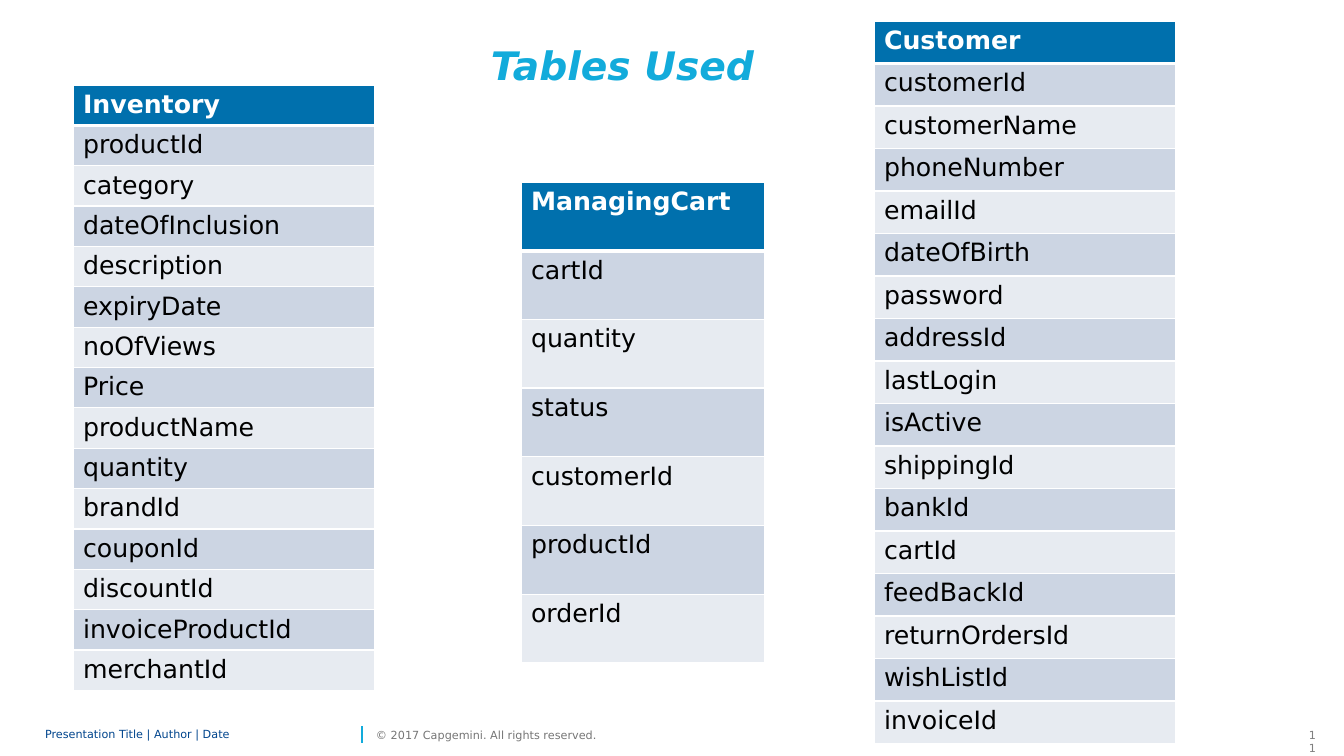
from lxml import etree
from pptx import Presentation
from pptx.dml.color import RGBColor
from pptx.enum import shapes, text
from pptx.oxml import ns
from pptx.util import Emu, Pt

FONT = "DejaVu Sans"
WHITE, BLACK, CYAN, BLUE = "FFFFFF", "000000", "12ABDB", "0070AD"
BANDS = ["CCD5E3", "E7EBF1"]

# Tables: name, (left, top, width, height), fields
TABLES = [
    ("ManagingCart", (521, 182, 244, 481),
     ["cartId", "quantity", "status", "customerId", "productId", "orderId"]),
    ("Inventory", (73, 85, 302, 590),
     ["productId", "category", "dateOfInclusion", "description",
      "expiryDate", "noOfViews", "Price", "productName", "quantity",
      "brandId", "couponId", "discountId", "invoiceProductId",
      "merchantId"]),
    ("Customer", (874, 21, 302, 723),
     ["customerId", "customerName", "phoneNumber", "emailId",
      "dateOfBirth", "password", "addressId", "lastLogin", "isActive",
      "shippingId", "bankId", "cartId", "feedBackId", "returnOrdersId",
      "wishListId", "invoiceId"]),
]
TITLE = ("Tables Used", (317, 58, 611, 48))
AUTHOR = ("Presentation Title | Author | Date", (45, 723, 311, 24))
RIGHTS = ("© 2017 Capgemini. All rights reserved.", (376, 723, 245, 24))
NUMBER = ("11", (1299, 723, 27, 24))
RULE = (362, 743, 362, 726)


def px(n):
    return Emu(round(n * 914400 / 100.8))


def color(code):
    return RGBColor.from_string(code)


def add_run(para, words, size, code, bold=False, italic=False):
    run = para.add_run()
    run.text = words
    font = run.font
    font.name, font.size, font.bold, font.italic = FONT, Pt(size), bold, italic
    font.color.rgb = color(code)


def add_text(item, size, code, inset=True, wrap=True, **style):
    words, box = item
    frame = slide.shapes.add_textbox(*map(px, box)).text_frame
    frame.word_wrap = wrap
    if not inset:
        frame.margin_left = frame.margin_right = 0
        frame.margin_top = frame.margin_bottom = 0
    para = frame.paragraphs[0]
    add_run(para, words, size, code, **style)
    return frame, para


def set_edges(cell, top, bottom):
    props = cell._tc.get_or_add_tcPr()
    edges = [("lnL", 1), ("lnR", 1), ("lnT", top), ("lnB", bottom)]
    for i, (tag, width) in enumerate(edges):
        line = etree.Element(ns.qn("a:" + tag), w=str(Pt(width)))
        fill = etree.SubElement(line, ns.qn("a:solidFill"))
        etree.SubElement(fill, ns.qn("a:srgbClr"), val=WHITE)
        props.insert(i, line)


def add_table(name, box, fields):
    rows = [name] + fields
    grid = slide.shapes.add_table(len(rows), 1, *map(px, box)).table
    grid.horz_banding = False
    for i, words in enumerate(rows):
        head = i == 0
        grid.rows[i].height = px(box[3] / len(rows))
        cell = grid.cell(i, 0)
        cell.fill.solid()
        cell.fill.fore_color.rgb = color(BLUE if head else BANDS[(i - 1) % 2])
        set_edges(cell, 3 if i == 1 else 1, 3 if head else 1)
        add_run(cell.text_frame.paragraphs[0], words, 18,
                WHITE if head else BLACK, bold=head)


deck = Presentation()
deck.slide_width, deck.slide_height = px(1344), px(756)
slide = deck.slides.add_slide(deck.slide_layouts[6])

# Footer
frame, para = add_text(NUMBER, 8, "808080")
para.alignment = text.PP_ALIGN.RIGHT
rule = slide.shapes.add_connector(shapes.MSO_CONNECTOR.STRAIGHT, *map(px, RULE))
rule.line.color.rgb = color(CYAN)
rule.line.width = Pt(1)
etree.SubElement(rule._element.spPr, ns.qn("a:effectLst"))
frame, para = add_text(AUTHOR, 8, "00458D", inset=False)
frame.vertical_anchor = text.MSO_ANCHOR.MIDDLE
para.line_spacing = 0.85
frame, para = add_text(RIGHTS, 8, "767676", inset=False, wrap=False)
frame.vertical_anchor = text.MSO_ANCHOR.MIDDLE

# Title
frame, para = add_text(TITLE, 28, CYAN, inset=False, bold=True, italic=True)
para.alignment = text.PP_ALIGN.CENTER
para.line_spacing = Pt(22)

# Tables
for name, box, fields in TABLES:
    add_table(name, box, fields)

deck.save("out.pptx")
